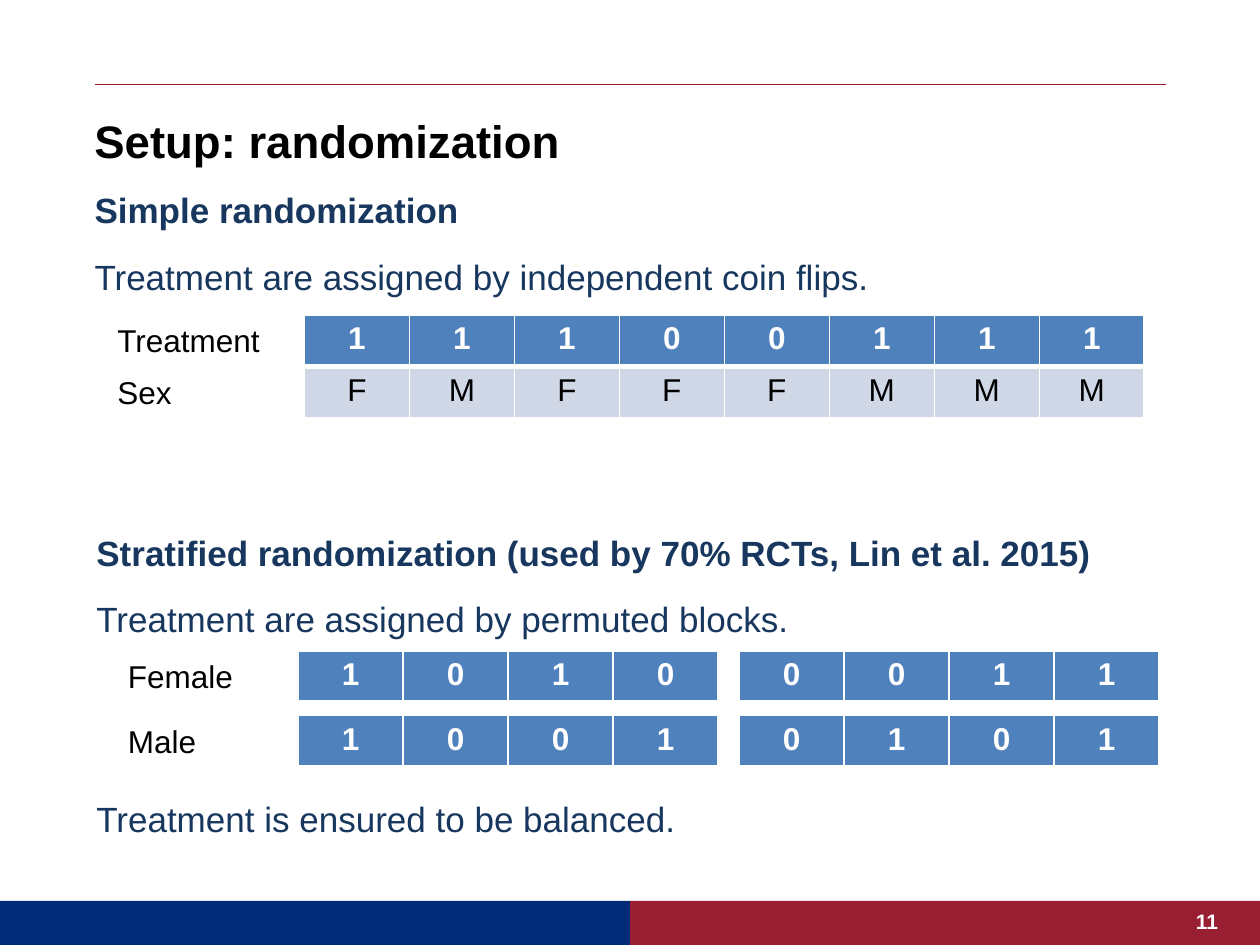
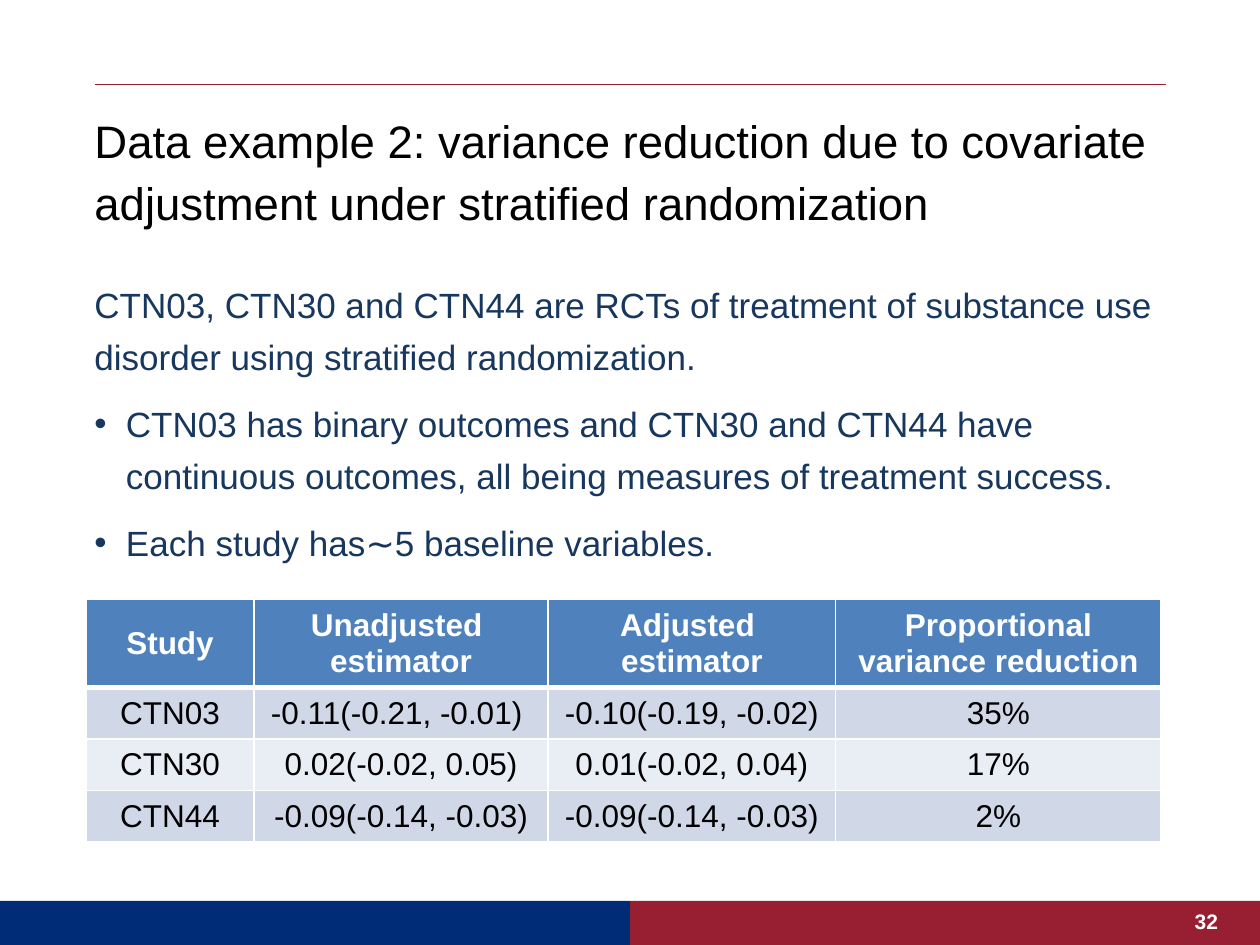
"""Builds two slides on randomization designs and variance reduction."""
from lxml.etree import SubElement
from pptx import Presentation
from pptx.dml.color import RGBColor
from pptx.enum.shapes import MSO_CONNECTOR as CONN, MSO_SHAPE as SHAPE
from pptx.enum.text import MSO_ANCHOR as ANCHOR, PP_ALIGN as ALIGN
from pptx.oxml.ns import qn
from pptx.util import Inches, Pt

WIDTH, HEIGHT = 10, 7.5
COLS, ROWS = 12, 18
CELL_ROW = 0.98

NAVY, RED, INK = "002C77", "981E32", "17375E"
WHITE, BLACK, HEAD = "FFFFFF", "000000", "4F81BD"
BANDS = ["D0D8E8", "E9EDF4"]

SPACED = {"line_spacing": 1.25, "space_before": Pt(6), "space_after": Pt(2)}
CENTER = {"alignment": ALIGN.CENTER}
STYLES = {
    "title": (26, BLACK, False, {"line_spacing": 1.14}),
    "title_bold": (26, BLACK, True, {"line_spacing": 1.14}),
    "body": (20, INK, False, SPACED),
    "body_bold": (20, INK, True, SPACED),
    "body_after_tables": (20, INK, False, {**SPACED, "space_before": Pt(82)}),
    "bullet": (20, INK, False, SPACED),
    "label": (18, BLACK, False, {}),
    "cell": (18, BLACK, False, CENTER),
    "head": (18, WHITE, True, CENTER),
    "number": (12, WHITE, True, {"alignment": ALIGN.RIGHT}),
}
FLUSH = (0, 0, 0, 0)
PADDED = (0.1, 0.05, 0.1, 0.05)
NUMBER_PAD = (0, 0.05, 0.25, 0.05)


def rgb(code):
    """Return the colour for a hex string."""
    return RGBColor.from_string(code)


def gx(cols):
    """Return the length of a number of grid columns."""
    return Inches(cols * WIDTH / COLS)


def gy(rows):
    """Return the length of a number of grid rows."""
    return Inches(rows * HEIGHT / ROWS)


def apply(obj, values):
    """Set each attribute named in a dict."""
    for name, value in values.items():
        setattr(obj, name, value)


class Deck:
    """Holds the presentation, its style and the current slide."""

    def __init__(self, font):
        """Start an empty presentation."""
        self.font = font
        self.prs = Presentation()
        apply(self.prs, {"slide_width": gx(COLS), "slide_height": gy(ROWS)})

    def slide(self, title, number, style="title"):
        """Add a slide with its bands, rule, title and number."""
        self.s = self.prs.slides.add_slide(self.prs.slide_layouts[6])
        self.band(6, RED)
        self.band(0, NAVY)
        self.rule(0.9, 11.1, 1.6)
        self.text(0.9, 2, 10.2, 2, [(title, style)], FLUSH)
        self.text(10.9, 17.16, 1, 0.77, [(number, "number")], NUMBER_PAD,
                  ANCHOR.MIDDLE)

    def band(self, col, color):
        """Draw half of the footer band."""
        sp = self.s.shapes.add_shape(SHAPE.RECTANGLE, gx(col), gy(17.16),
                                     gx(6), gy(0.84))
        sp.shadow.inherit = False
        sp.fill.solid()
        sp.fill.fore_color.rgb = rgb(color)
        sp.line.fill.background()

    def rule(self, start, end, row):
        """Draw the thin line above the title."""
        ln = self.s.shapes.add_connector(CONN.STRAIGHT, gx(start), gy(row),
                                         gx(end), gy(row))
        ln.line.color.rgb = rgb(RED)
        ln.line.width = Pt(0.5)
        SubElement(ln._element.spPr, qn("a:effectLst"))

    def text(self, col, row, cols, rows, paras, pad=PADDED, anchor=ANCHOR.TOP):
        """Add a text box of (text, style) paragraphs."""
        sp = self.s.shapes.add_textbox(gx(col), gy(row), gx(cols), gy(rows))
        tf = sp.text_frame
        left, top, right, bottom = map(Inches, pad)
        apply(tf, {"word_wrap": True, "vertical_anchor": anchor,
                   "margin_left": left, "margin_top": top,
                   "margin_right": right, "margin_bottom": bottom})
        self.fill_text(tf, paras)

    def fill_text(self, tf, paras):
        """Write styled paragraphs into a text frame."""
        for i, (text, style) in enumerate(paras):
            p = tf.add_paragraph() if i else tf.paragraphs[0]
            size, color, bold, layout = STYLES[style]
            apply(p, layout)
            if style == "bullet":
                self.bullet(p)
            r = p.add_run()
            r.text = text
            apply(r.font, {"name": self.font, "size": Pt(size), "bold": bold})
            r.font.color.rgb = rgb(color)

    def bullet(self, p):
        """Give a paragraph a hanging bullet."""
        pPr = p._p.get_or_add_pPr()
        pPr.set("marL", str(Inches(0.25)))
        pPr.set("indent", str(-Inches(0.25)))
        SubElement(pPr, qn("a:buFont"), typeface=self.font)
        SubElement(pPr, qn("a:buChar"), char="•")

    def borders(self, cell, top, bottom):
        """Draw white borders around a cell."""
        tcPr = cell._tc.get_or_add_tcPr()
        for side, width in zip("LRTB", (1, 1, top, bottom)):
            ln = SubElement(tcPr, qn(f"a:ln{side}"), w=str(Pt(width)))
            fill = SubElement(ln, qn("a:solidFill"))
            SubElement(fill, qn("a:srgbClr"), val=WHITE)

    def table(self, col, row, data, widths=None, head=CELL_ROW,
              anchor=ANCHOR.TOP):
        """Add a table with a header row and banded rows below."""
        widths = widths or [1] * len(data[0])
        heights = [head] + [CELL_ROW] * (len(data) - 1)
        tbl = self.s.shapes.add_table(len(data), len(widths), gx(col), gy(row),
                                      gx(sum(widths)), gy(sum(heights))).table
        for column, width in zip(tbl.columns, widths):
            column.width = gx(width)
        for i, values in enumerate(data):
            tbl.rows[i].height = gy(heights[i])
            color = BANDS[(i - 1) % 2] if i else HEAD
            style = "cell" if i else "head"
            for j, value in enumerate(values):
                cell = tbl.cell(i, j)
                cell.vertical_anchor = anchor
                self.borders(cell, 3 if i == 1 else 1, 1 if i else 3)
                cell.fill.solid()
                cell.fill.fore_color.rgb = rgb(color)
                self.fill_text(cell.text_frame,
                               [(t, style) for t in value.split("\n")])


def randomization(deck):
    """Build the slide on simple and stratified randomization."""
    deck.slide("Setup: randomization", "11", "title_bold")
    deck.text(0.9, 3.4, 10.6, 2.33, [
        ("Simple randomization", "body_bold"),
        ("Treatment are assigned by independent coin flips.", "body"),
    ], FLUSH)
    deck.table(2.9, 6, ["11100111", "FMFFFMMM"])
    for i, label in enumerate(["Treatment", "Sex"]):
        deck.text(1, 6 + i * CELL_ROW, 1.7, 0.97, [(label, "label")])

    deck.text(0.8, 9.8, 10.3, 6.26, [
        ("Stratified randomization (used by 70% RCTs, Lin et al. 2015)",
         "body_bold"),
        ("Treatment are assigned by permuted blocks.", "body"),
        ("Treatment is ensured to be balanced.", "body_after_tables"),
    ])
    strata = {"Female": ["1010", "0011"], "Male": ["1001", "0101"]}
    for i, (label, blocks) in enumerate(strata.items()):
        row = 12.4 + i * 1.23
        deck.text(1.1, row, 1.7, 0.97, [(label, "label")])
        for j, block in enumerate(blocks):
            deck.table(2.84 + j * 4.2, row, [block])


def variance_reduction(deck):
    """Build the slide on variance reduction in three trials."""
    deck.slide("Data example 2: variance reduction due to covariate adjustment "
               "under stratified randomization", "32")
    deck.text(0.9, 5.2, 10.2, 5, [
        ("CTN03, CTN30 and CTN44 are RCTs of treatment of substance use "
         "disorder using stratified randomization.", "body"),
        ("CTN03 has binary outcomes and CTN30 and CTN44 have continuous "
         "outcomes, all being measures of treatment success.", "bullet"),
        ("Each study has∼5 baseline variables.", "bullet"),
    ], FLUSH)
    deck.table(0.82, 11.42, [
        ["Study", "Unadjusted \nestimator", "Adjusted \nestimator",
         "Proportional variance reduction"],
        ["CTN03", "-0.11(-0.21, -0.01) ", "-0.10(-0.19, -0.02)", "35%"],
        ["CTN30", "0.02(-0.02, 0.05)", "0.01(-0.02, 0.04)", "17%"],
        ["CTN44", "-0.09(-0.14, -0.03)", "-0.09(-0.14, -0.03)", "2%"],
    ], [1.6, 2.8, 2.74, 3.1], 1.6, ANCHOR.MIDDLE)


def main():
    """Build and save the slides."""
    deck = Deck("Arial")
    randomization(deck)
    variance_reduction(deck)
    deck.prs.save("out.pptx")


if __name__ == "__main__":
    main()
